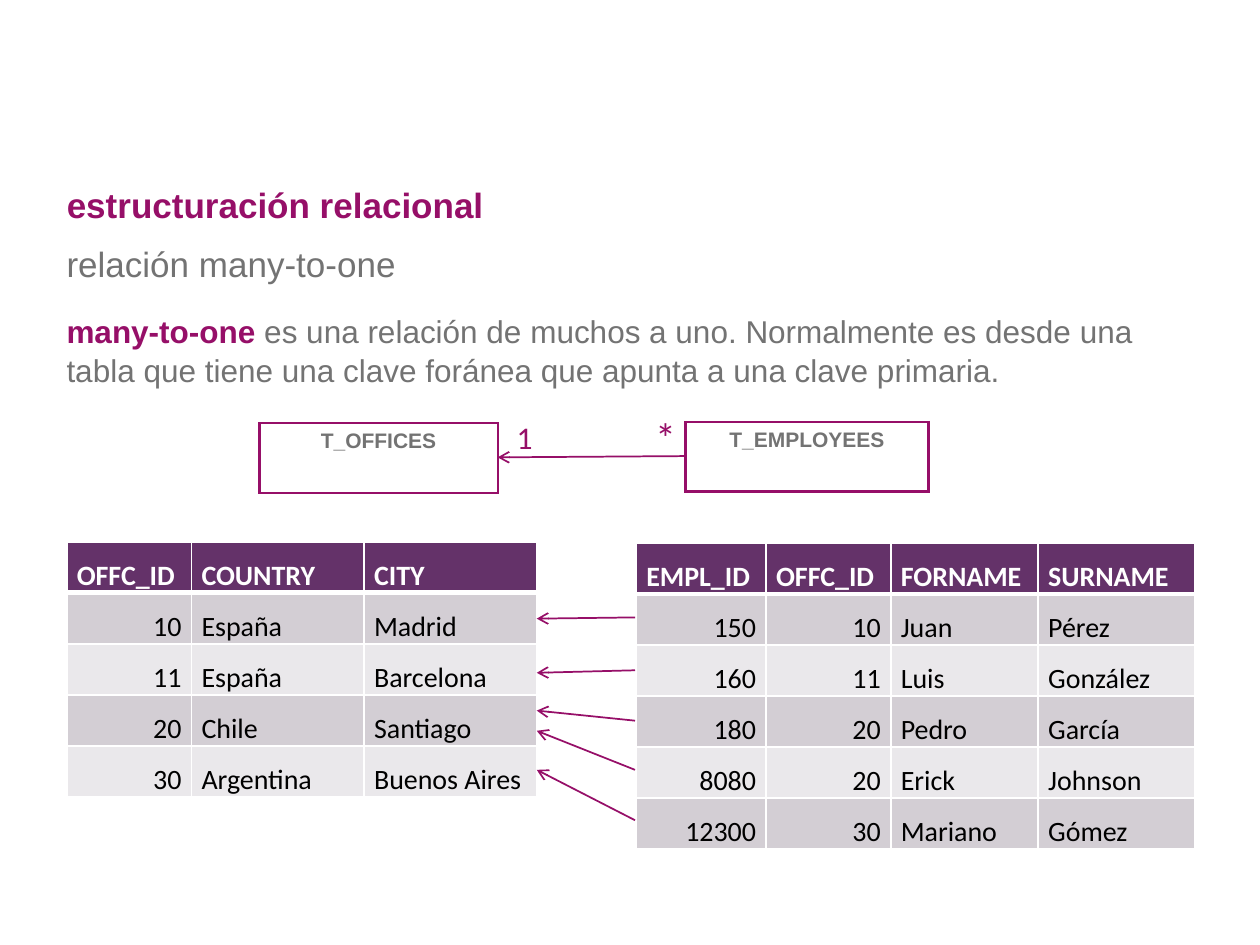
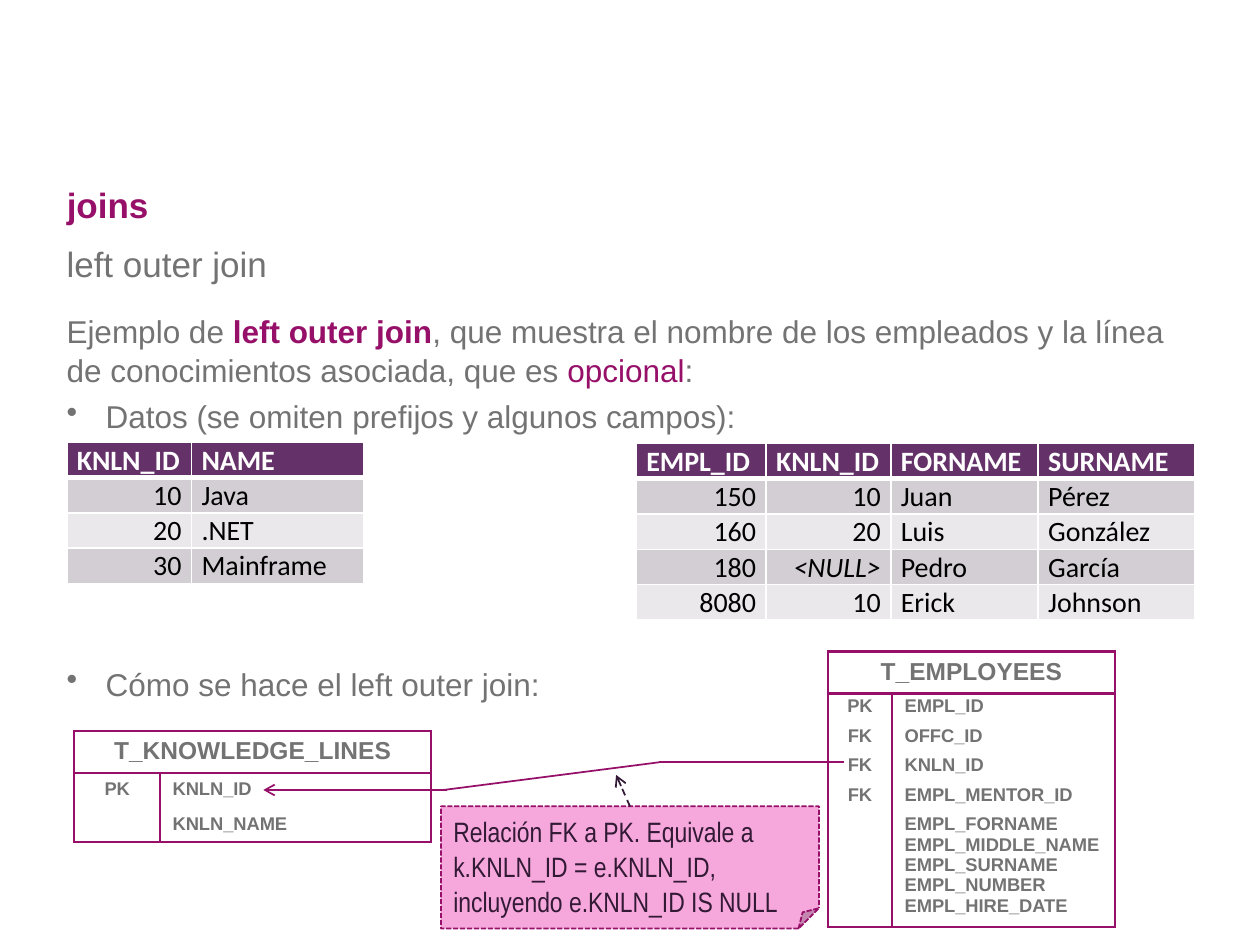
from lxml import etree
from pptx import Presentation
from pptx.dml.color import RGBColor
from pptx.enum.dml import MSO_LINE
from pptx.enum.shapes import MSO_CONNECTOR, MSO_SHAPE
from pptx.enum.text import MSO_ANCHOR, PP_ALIGN
from pptx.oxml.ns import qn
from pptx.util import Pt

LEFT, CENTER, RIGHT = PP_ALIGN.LEFT, PP_ALIGN.CENTER, PP_ALIGN.RIGHT
TOP, MIDDLE, BOTTOM = MSO_ANCHOR.TOP, MSO_ANCHOR.MIDDLE, MSO_ANCHOR.BOTTOM
STRAIGHT, FOLDED_CORNER = MSO_CONNECTOR.STRAIGHT, MSO_SHAPE.FOLDED_CORNER
SHORT_DASH, DASH = MSO_LINE.SQUARE_DOT, MSO_LINE.DASH

PX = 4572  # 200 px to the inch

THEME = {
    "accent": "960F68", "gray": "737373", "white": "FFFFFF", "black": "000000",
    "header": "643269", "bands": ("D3CED4", "EAE8EB"),
    "note": "F6A8DC", "note_ink": "321935",
    "font": "Arial", "data_font": "Calibri", "note_font": "Arial Narrow",
    "title": 20, "body": 18, "data": 16, "note_size": 16, "star": 24,
    "entity": 12, "entity_title": 14, "field": 10.5,
}
ACCENT, GRAY, WHITE, FONT = (THEME[key] for key in ("accent", "gray", "white", "font"))


def write(paragraph, runs, font_name, size, **paragraph_format):
    """Add runs of (text, colour, bold) to a paragraph."""
    for name, value in paragraph_format.items():
        setattr(paragraph, name, value)
    for text, color, bold in runs:
        run = paragraph.add_run()
        run.text = text
        font_format = {"name": font_name, "size": Pt(size), "bold": bold,
                       "italic": text.startswith("<")}
        for name, value in font_format.items():
            setattr(run.font, name, value)
        run.font.color.rgb = RGBColor.from_string(color)


def add_table(slide, left, top, widths, heights, rows, is_data=False,
              title_size=THEME["entity_title"], field_margin=10):
    """Add a banded data table, or an entity box; None joins a cell to its neighbour."""
    frame = slide.shapes.add_table(len(rows), len(widths), left * PX, top * PX,
                                   sum(widths) * PX, sum(heights) * PX)
    table = frame.table
    table.first_row = table.horz_banding = False
    for column, width in zip(table.columns, widths):
        column.width = width * PX
    for row, height in zip(table.rows, heights):
        row.height = height * PX
    for row_index, values in enumerate(rows):
        for column_index, value in enumerate(values):
            if value is None:
                neighbour = ((0, column_index - 1) if row_index == 0
                             else (row_index - 1, column_index))
                table.cell(*neighbour).merge(table.cell(row_index, column_index))

    last = len(rows) - 1
    for row_index, values in enumerate(rows):
        is_header = row_index == 0
        for column_index, value in enumerate(values):
            cell = table.cell(row_index, column_index)
            if is_data:
                margins, anchor = (16, 2, 16, 0), BOTTOM
                fill = THEME["header"] if is_header else THEME["bands"][(row_index - 1) % 2]
                color = WHITE if is_header else THEME["black"]
                font_name, size, bold = THEME["data_font"], THEME["data"], is_header
                is_right = value.isdigit() or value == "<NULL>"
                alignment = RIGHT if is_right else LEFT
                line_color = WHITE
                borders = {"L": 1, "R": 1, "T": 3 if row_index == 1 else 1,
                           "B": 3 if is_header else 1}
            else:
                vertical = 10 if is_header else field_margin
                margins, anchor = (20, vertical, 20, vertical), TOP
                fill, color, line_color = WHITE, GRAY, ACCENT
                font_name, bold = FONT, True
                size = title_size if is_header else THEME["field"]
                alignment = CENTER if is_header or column_index == 0 else LEFT
                span = cell.span_height if cell.is_merge_origin else 1
                at_bottom = is_header or row_index + span - 1 == last
                borders = {"L": 1.5, "R": 1.5, "T": 1.5 if row_index < 2 else 0,
                           "B": 1.5 if at_bottom else 0}

            cell.fill.solid()
            cell.fill.fore_color.rgb = RGBColor.from_string(fill)
            cell.vertical_anchor = anchor
            for side, margin in zip(("left", "top", "right", "bottom"), margins):
                setattr(cell, f"margin_{side}", margin * PX)
            properties = cell._tc.get_or_add_tcPr()
            for position, (side, width) in enumerate(borders.items()):
                line = etree.Element(qn(f"a:ln{side}"), w=str(int(width * 12700)))
                properties.insert(position, line)
                if width:
                    solid = etree.SubElement(line, qn("a:solidFill"))
                    etree.SubElement(solid, qn("a:srgbClr"), val=line_color)
                else:
                    etree.SubElement(line, qn("a:noFill"))

            for index, text in enumerate(value.split("\n") if value else []):
                text_frame = cell.text_frame
                paragraph = text_frame.add_paragraph() if index else text_frame.paragraphs[0]
                write(paragraph, [(text, color, bold)], font_name, size, alignment=alignment)


presentation = Presentation()
presentation.slide_width, presentation.slide_height = 2000 * PX, 1500 * PX
title_only = presentation.slide_layouts[5]

# Shared column widths
EMPLOYEE_COLUMNS = (206, 198, 234, 248)
KEY_COLUMN, NAME_COLUMN = 198, 274

# Headings and body: each paragraph is (runs, bulleted, space before)
pages = [
    ("estructuración relacional", "relación many-to-one", [
        ([("many-to-one", ACCENT, True),
          (" es una relación de muchos a uno. Normalmente es desde una tabla que tiene "
           "una clave foránea que apunta a una clave primaria.", GRAY, False)], False, 0),
    ]),
    ("joins", "left outer join", [
        ([("Ejemplo de ", GRAY, False), ("left outer join", ACCENT, True),
          (", que muestra el nombre de los empleados y la línea de conocimientos "
           "asociada, que es ", GRAY, False),
          ("opcional", ACCENT, False), (":", GRAY, False)], False, 0),
        ([("Datos (se omiten prefijos y algunos campos):", GRAY, False)], True, 3.6),
        ([("Cómo se hace el left outer join:", GRAY, False)], True, 130),
    ]),
]
slides = []
for title_text, subtitle_text, body in pages:
    slide = presentation.slides.add_slide(title_only)
    slides.append(slide)
    title = slide.shapes.title
    subtitle = slide.shapes.add_textbox(86 * PX, 372 * PX, 1812 * PX, 94 * PX)
    title_format = {"left": 86 * PX, "top": 278 * PX, "width": 1812 * PX, "height": 94 * PX}
    for name, value in title_format.items():
        setattr(title, name, value)
    for shape, text, color, bold in ((title, title_text, ACCENT, True),
                                     (subtitle, subtitle_text, GRAY, False)):
        shape.text_frame.word_wrap = True
        shape.text_frame.vertical_anchor = MIDDLE
        write(shape.text_frame.paragraphs[0], [(text, color, bold)], FONT, THEME["title"],
              alignment=LEFT)

    text_frame = slide.shapes.add_textbox(86 * PX, 482 * PX, 1834 * PX, 914 * PX).text_frame
    text_frame.word_wrap = True
    for index, (runs, bulleted, space_before) in enumerate(body):
        paragraph = text_frame.add_paragraph() if index else text_frame.paragraphs[0]
        if bulleted:
            properties = paragraph._p.get_or_add_pPr()
            properties.set("marL", str(62 * PX))
            properties.set("indent", str(-62 * PX))
            etree.SubElement(properties, qn("a:buChar"), char="•")
        write(paragraph, runs, FONT, THEME["body"], line_spacing=1.05,
              space_before=Pt(space_before))

relation_slide, join_slide = slides

# Many-to-one: entity boxes and their multiplicity
for name, left, top, width in (("T_OFFICES", 412, 672, 378), ("T_EMPLOYEES", 1088, 670, 386)):
    add_table(relation_slide, left, top, [width], [110], [[name]], title_size=THEME["entity"])
for text, left, top, height, size in (("1", 820, 664, 60, THEME["body"]),
                                      ("*", 1040, 654, 80, THEME["star"])):
    label = relation_slide.shapes.add_textbox(left * PX, top * PX, 32 * PX, height * PX)
    for side in ("left", "top", "right", "bottom"):
        setattr(label.text_frame, f"margin_{side}", 0)
    write(label.text_frame.paragraphs[0], [(text, ACCENT, False)], THEME["data_font"], size)

# Many-to-one: data tables
add_table(relation_slide, 1010, 862, EMPLOYEE_COLUMNS, [81] * 6, [
    ["EMPL_ID", "OFFC_ID", "FORNAME", "SURNAME"],
    ["150", "10", "Juan", "Pérez"],
    ["160", "11", "Luis", "González"],
    ["180", "20", "Pedro", "García"],
    ["8080", "20", "Erick", "Johnson"],
    ["12300", "30", "Mariano", "Gómez"],
], is_data=True)
add_table(relation_slide, 106, 860, (KEY_COLUMN, NAME_COLUMN, NAME_COLUMN), [81] * 5, [
    ["OFFC_ID", "COUNTRY", "CITY"],
    ["10", "España", "Madrid"],
    ["11", "España", "Barcelona"],
    ["20", "Chile", "Santiago"],
    ["30", "Argentina", "Buenos Aires"],
], is_data=True)

# Left outer join: data tables
add_table(join_slide, 1010, 704, EMPLOYEE_COLUMNS, [56] * 5, [
    ["EMPL_ID", "KNLN_ID", "FORNAME", "SURNAME"],
    ["150", "10", "Juan", "Pérez"],
    ["160", "20", "Luis", "González"],
    ["180", "<NULL>", "Pedro", "García"],
    ["8080", "10", "Erick", "Johnson"],
], is_data=True)
add_table(join_slide, 106, 702, (KEY_COLUMN, NAME_COLUMN), [56] * 4, [
    ["KNLN_ID", "NAME"],
    ["10", "Java"],
    ["20", ".NET"],
    ["30", "Mainframe"],
], is_data=True)

# Left outer join: entity boxes
add_table(join_slide, 118, 1160, (136, 430), (65, 53, 53), [
    ["T_KNOWLEDGE_LINES", None],
    ["PK", "KNLN_ID"],
    [None, "KNLN_NAME"],
])
add_table(join_slide, 1314, 1034, (102, 354), (65, 47, 47, 47, 47, 169), [
    ["T_EMPLOYEES", None],
    ["PK", "EMPL_ID"],
    ["FK", "OFFC_ID"],
    ["FK", "KNLN_ID"],
    ["FK", "EMPL_MENTOR_ID"],
    ["", "EMPL_FORNAME\nEMPL_MIDDLE_NAME\nEMPL_SURNAME\nEMPL_NUMBER\nEMPL_HIRE_DATE"],
], field_margin=4)

# Left outer join: note
note = join_slide.shapes.add_shape(FOLDED_CORNER, 700 * PX, 1280 * PX, 600 * PX, 194 * PX)
note.shadow.inherit = False
note.fill.solid()
note.fill.fore_color.rgb = RGBColor.from_string(THEME["note"])
note.line.color.rgb = RGBColor.from_string(ACCENT)
note.line.width = Pt(1)
note.line.dash_style = SHORT_DASH
note.text_frame.word_wrap = True
note.text_frame.vertical_anchor = TOP
note_text = "Relación FK a PK. Equivale a k.KNLN_ID = e.KNLN_ID, incluyendo e.KNLN_ID IS NULL"
write(note.text_frame.paragraphs[0], [(note_text, THEME["note_ink"], False)],
      THEME["note_font"], THEME["note_size"], alignment=LEFT, line_spacing=1.05)

# Connectors: slide, start, end, colour, dash, arrow at the end
connectors = [(relation_slide, (1088, 724), (790, 726), ACCENT, None, True)]
for employee_y, office_y in ((980, 982), (1064, 1068), (1144, 1128), (1222, 1160), (1302, 1222)):
    connectors.append((relation_slide, (1008, employee_y), (852, office_y), ACCENT, None, True))
connectors += [
    (join_slide, (710, 1254), (418, 1254), ACCENT, None, True),
    (join_slide, (1046, 1210), (1340, 1210), ACCENT, None, False),
    (join_slide, (704, 1254), (1046, 1210), ACCENT, None, False),
    (join_slide, (1000, 1280), (978, 1230), THEME["note_ink"], DASH, True),
]
for slide, start, end, color, dash, has_arrow in connectors:
    connector = slide.shapes.add_connector(STRAIGHT, *(value * PX for value in start + end))
    connector.line.color.rgb = RGBColor.from_string(color)
    connector.line.width = Pt(1)
    if dash:
        connector.line.dash_style = dash
    if has_arrow:
        etree.SubElement(connector.line._get_or_add_ln(), qn("a:tailEnd"), type="arrow")
    etree.SubElement(connector._element.spPr, qn("a:effectLst"))

presentation.save("out.pptx")
